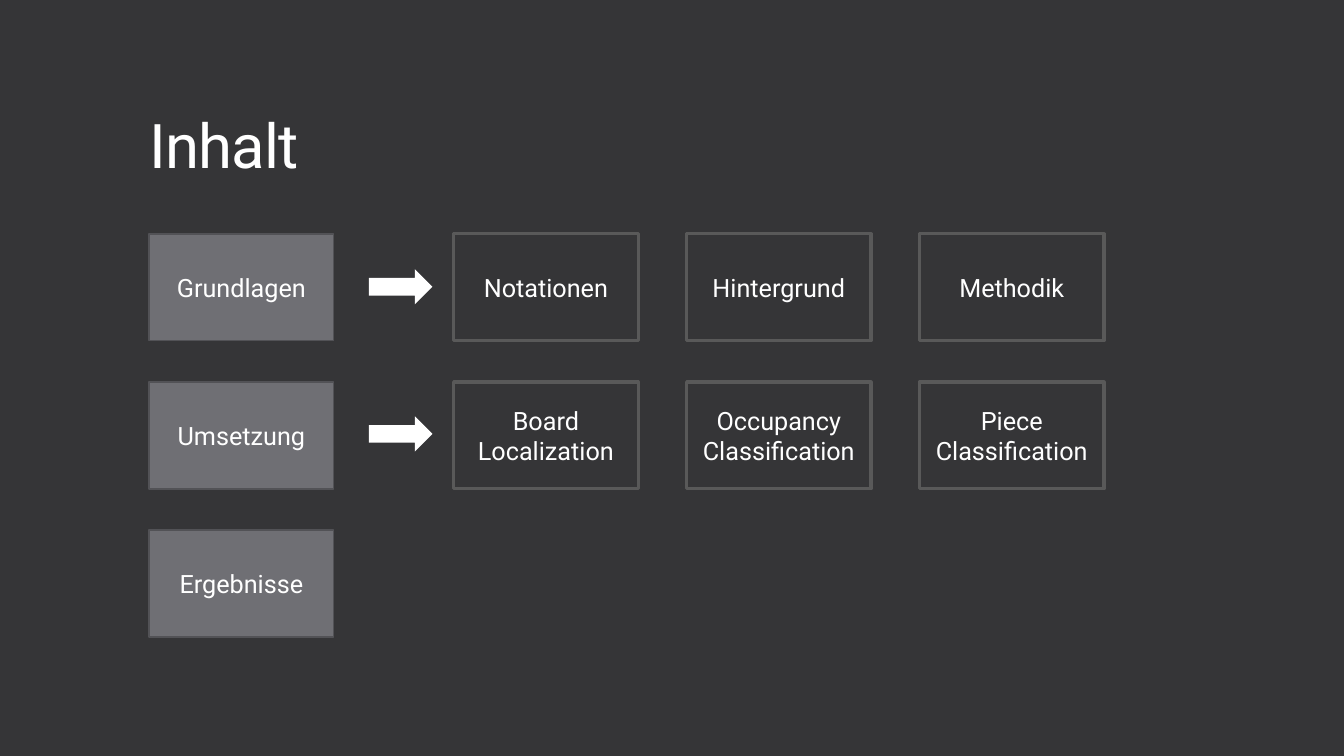
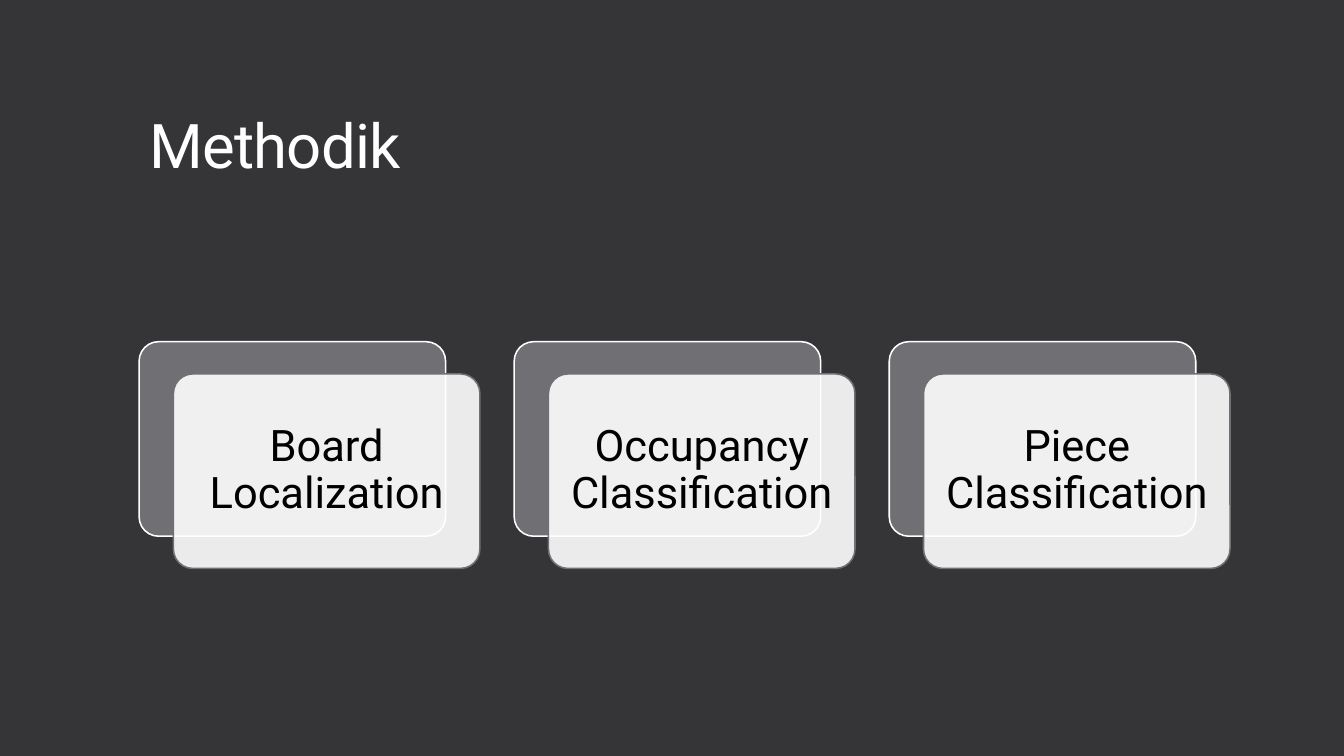
from lxml import etree
from pptx import Presentation
from pptx import util as u
from pptx.dml.color import RGBColor
from pptx.enum import shapes, text
from pptx.oxml.ns import qn

BACKGROUND, WHITE, BLACK = "353537", "FFFFFF", "000000"
GREY, DARK_GREY, OUTLINE = "6F6F74", "525256", "595959"


def color(hex_value):
    return RGBColor.from_string(hex_value)


class Deck:
    """Holds the shared style and the slide being filled."""

    font = "Roboto"

    def __init__(self):
        self.presentation = Presentation()
        self.presentation.slide_width = u.Inches(13.33)
        self.presentation.slide_height = u.Inches(7.5)
        self.slide = None

    def add_slide(self, title):
        self.slide = self.presentation.slides.add_slide(self.presentation.slide_layouts[6])
        fill = self.slide.background.fill
        fill.solid()
        fill.fore_color.rgb = color(BACKGROUND)
        box = self.slide.shapes.add_textbox(*map(u.Inches, (1.38, 0.4, 10.6, 1.45)))
        run = self.add_label(box, title, 44, align=text.PP_ALIGN.LEFT,
                             anchor=text.MSO_ANCHOR.BOTTOM, line_spacing=0.9)
        run._r.get_or_add_rPr().set("spc", "-50")

    def add_label(self, shape, words, size, hex_value=WHITE, align=text.PP_ALIGN.CENTER,
                  anchor=text.MSO_ANCHOR.MIDDLE, line_spacing=None):
        frame = shape.text_frame
        frame.word_wrap = True
        frame.vertical_anchor = anchor
        paragraph = frame.paragraphs[0]
        paragraph.alignment = align
        paragraph.line_spacing = line_spacing
        run = paragraph.add_run()
        run.text = words
        for name, value in {"name": self.font, "size": u.Pt(size)}.items():
            setattr(run.font, name, value)
        run.font.color.rgb = color(hex_value)
        return run

    def shape(self, kind, bounds, fill=None, line=None, line_width=1.1, opacity=None):
        """Draw a preset shape; without a fill or line colour that part stays empty."""
        shape = self.slide.shapes.add_shape(kind, *map(u.Inches, bounds))
        shape.shadow.inherit = False
        if fill:
            shape.fill.solid()
            shape.fill.fore_color.rgb = color(fill)
        else:
            shape.fill.background()
        if line:
            shape.line.color.rgb = color(line)
            shape.line.width = u.Pt(line_width)
        else:
            shape.line.fill.background()
        if opacity:
            fill_color = shape.element.spPr.find(qn("a:solidFill"))[0]
            etree.SubElement(fill_color, qn("a:alpha"), val=str(opacity * 1000))
        return shape

    def topic(self, left, top, words, **look):
        box = self.shape(shapes.MSO_SHAPE.RECTANGLE, (left, top, 1.83, 1.06), **look)
        self.add_label(box, words, 18)

    def arrow(self, left, top):
        self.shape(shapes.MSO_SHAPE.RIGHT_ARROW, (left, top, 0.63, 0.35), fill=WHITE)

    def card(self, left, top, words):
        """Draw a translucent text card in front of an offset grey one."""
        kind, size = shapes.MSO_SHAPE.ROUNDED_RECTANGLE, (3.04, 1.93)
        back = self.shape(kind, (left, top, *size), fill=GREY, line=WHITE)
        front = self.shape(kind, (left + 0.34, top + 0.32, *size),
                           fill=WHITE, line=GREY, opacity=90)
        for layer in (back, front):
            layer.adjustments[0] = 0.1
        for side in ("left", "top", "right", "bottom"):
            setattr(front.text_frame, f"margin_{side}", u.Inches(0.13))
        self.add_label(front, words, 31, BLACK, line_spacing=0.9)


def main():
    deck = Deck()
    steps = ["Board Localization", "Occupancy Classification", "Piece Classification"]
    chapters = {
        "Grundlagen": ["Notationen", "Hintergrund", "Methodik"],
        "Umsetzung": steps,
        "Ergebnisse": [],
    }

    deck.add_slide("Inhalt")
    for row, (chapter, sections) in enumerate(chapters.items()):
        top = 2.32 + row * 1.47
        deck.topic(1.48, top, chapter, fill=GREY, line=DARK_GREY)
        if sections:
            deck.arrow(3.66, 2.67 + row * 1.46)
        for column, section in enumerate(sections):
            deck.topic(4.5 + column * 2.31, top, section, line=OUTLINE, line_width=2.25)

    deck.add_slide("Methodik")
    for column, step in enumerate(steps):
        deck.card(1.38 + column * 3.72, 3.39, step)

    deck.presentation.save("out.pptx")


if __name__ == "__main__":
    main()
